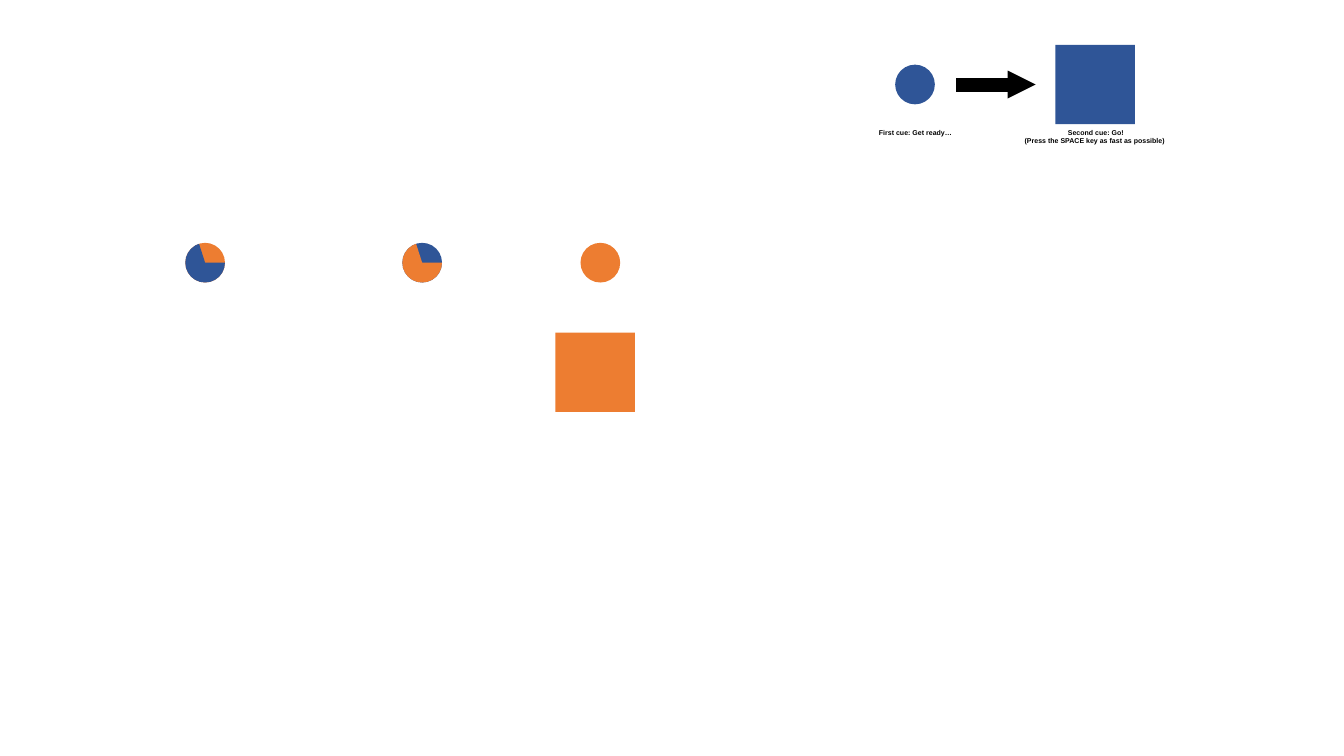
from dataclasses import dataclass

from lxml import etree
from pptx import Presentation
from pptx import util as u
from pptx.dml.color import RGBColor
from pptx.enum import shapes, text
from pptx.oxml import ns

BLUE, ORANGE, WHITE, BLACK = "2F5597", "ED7D31", "FFFFFF", "000000"
CIRCLE, SQUARE = 1, 2  # cue sizes in cm
CUE_ROW = 6.12  # top of the row of circles
AXIS = 2.13  # centre line of the instruction panel
PIE_END = 151.296  # end angle of the main colour's share


@dataclass
class Cue:
    left: float
    main: str
    other: str = ""  # colour of the remaining share, if any


@dataclass
class Caption:
    left: float
    width: float
    height: float
    wording: str


CUES = [Cue(14.63, ORANGE), Cue(4.67, BLUE, ORANGE), Cue(10.14, ORANGE, BLUE)]
CAPTIONS = [
    Caption(22.05, 2, 0.4, "\u00a0First cue: Get ready…"),
    Caption(25.78, 3.63, 0.64,
            "\u00a0Second cue: Go!\n(Press the SPACE key as fast as possible)"),
]


def color(value: str) -> RGBColor:
    return RGBColor.from_string(value)


def add_figure(parent, kind, left: float, top: float, width: float, height: float, fill: str):
    shape = parent.add_shape(kind, u.Cm(left), u.Cm(top), u.Cm(width), u.Cm(height))
    shape.shadow.inherit = False
    shape.fill.solid()
    shape.fill.fore_color.rgb = color(fill)
    shape.line.fill.background()
    return shape


def add_circle(parent, left: float, top: float, fill: str) -> None:
    add_figure(parent, shapes.MSO_SHAPE.OVAL, left, top, CIRCLE, CIRCLE, fill)


def add_square(parent, left: float, top: float, fill: str) -> None:
    add_figure(parent, shapes.MSO_SHAPE.RECTANGLE, left, top, SQUARE, SQUARE, fill)


def add_cue(parent, cue: Cue) -> None:
    if not cue.other:
        add_circle(parent, cue.left, CUE_ROW, cue.main)
        return
    group = parent.add_group_shape().shapes
    add_circle(group, cue.left, CUE_ROW, cue.other)
    pie = add_figure(group, shapes.MSO_SHAPE.PIE, cue.left, CUE_ROW, CIRCLE, CIRCLE, cue.main)
    pie.adjustments[0] = 0
    pie.adjustments[1] = PIE_END


def add_arrow(parent, start: float, end: float, y: float) -> None:
    arrow = parent.add_connector(
        shapes.MSO_CONNECTOR.STRAIGHT, u.Cm(start), u.Cm(y), u.Cm(end), u.Cm(y))
    arrow.line.color.rgb = color(BLACK)
    arrow.line.width = u.Pt(10)
    etree.SubElement(arrow.line._get_or_add_ln(), ns.qn("a:tailEnd"),
                     type="triangle", w="sm", len="sm")
    etree.SubElement(arrow._element.spPr, ns.qn("a:effectLst"))


def add_caption(parent, caption: Caption, top: float) -> None:
    box = parent.add_textbox(
        u.Cm(caption.left), u.Cm(top), u.Cm(caption.width), u.Cm(caption.height))
    frame = box.text_frame
    frame.word_wrap = True
    frame.auto_size = text.MSO_AUTO_SIZE.SHAPE_TO_FIT_TEXT
    frame.margin_left = frame.margin_right = 0
    frame.margin_top = frame.margin_bottom = u.Cm(0.1)
    frame.text = caption.wording
    for paragraph in frame.paragraphs:
        paragraph.alignment = text.PP_ALIGN.CENTER
        for run in paragraph.runs:
            run.font.name = "Arial"
            run.font.size = u.Pt(5)
            run.font.bold = True
            run.font.color.rgb = color(BLACK)


presentation = Presentation()
presentation.slide_width, presentation.slide_height = u.Cm(33.87), u.Cm(19.05)
slide = presentation.slides.add_slide(presentation.slide_layouts[6])

# Cues: plain and two-coloured circles, then the target square
for cue in CUES:
    add_cue(slide.shapes, cue)
add_square(slide.shapes, 14, 8.38, ORANGE)

# Instruction panel: first cue, arrow, second cue
panel = slide.shapes.add_group_shape().shapes
add_figure(panel, shapes.MSO_SHAPE.RECTANGLE, 22, 0.89, 7.5, 3, WHITE)
add_circle(panel, 22.56, AXIS - CIRCLE / 2, BLUE)
add_square(panel, 26.6, AXIS - SQUARE / 2, BLUE)
add_arrow(panel, 24.1, 26.1, AXIS)
for caption in CAPTIONS:
    add_caption(panel, caption, AXIS + SQUARE / 2)

presentation.save("out.pptx")
